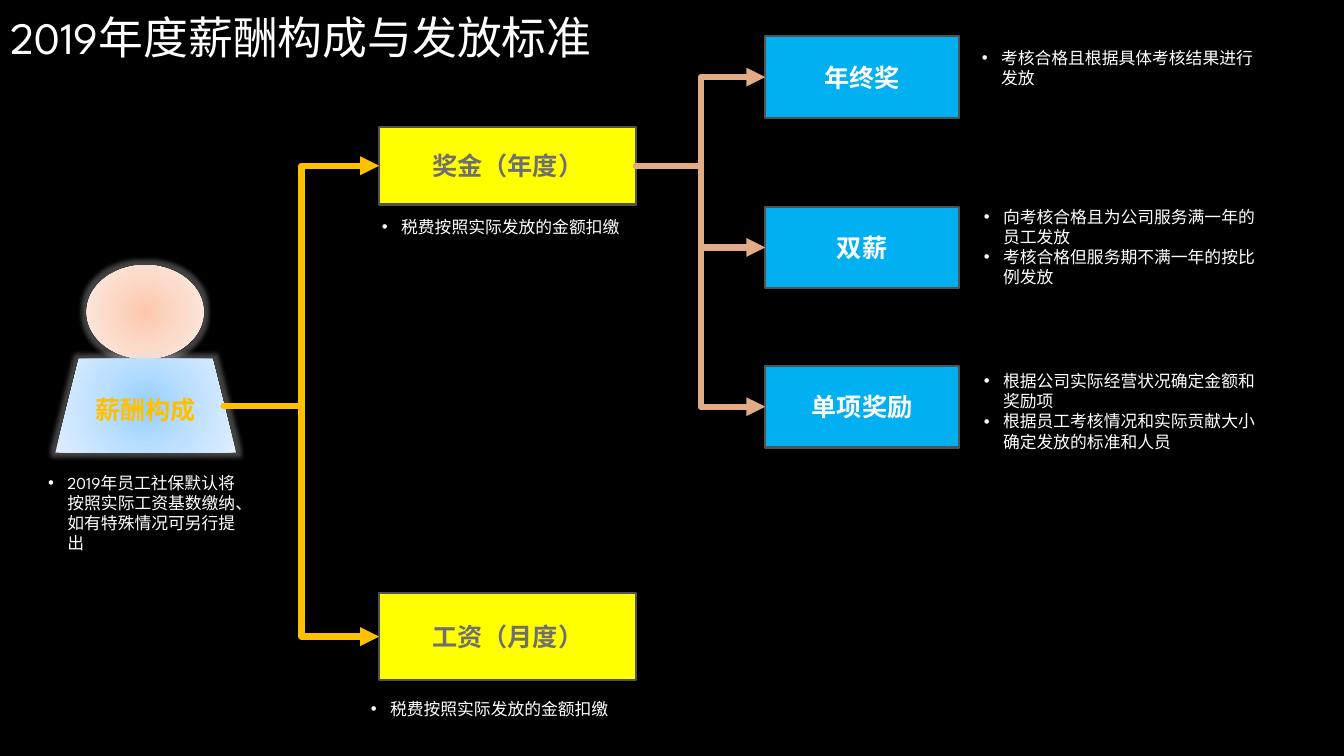
from dataclasses import dataclass
from typing import Any

import pptx
import pptx.dml.color
import pptx.enum.shapes
import pptx.enum.text
import pptx.oxml
import pptx.oxml.ns
import pptx.util

EMU_PER_PX = 9144
SHAPE = pptx.enum.shapes.MSO_SHAPE
ALIGN = pptx.enum.text.PP_ALIGN
ANCHOR = pptx.enum.text.MSO_ANCHOR
AUTO_SIZE = pptx.enum.text.MSO_AUTO_SIZE
RIGHT_SITE, LEFT_SITE = 3, 1


@dataclass(frozen=True)
class Theme:
    font: str = "League Spartan"
    background: str = "000000"
    text: str = "FFFFFF"
    title_end: str = "A6A6A6"
    border: str = "525252"
    category: str = "FFFF00"
    category_text: str = "6F6F6F"
    bonus: str = "00B0F0"
    pay_branch: str = "FFC000"
    bonus_branch: str = "E2AA85"
    glow: str = "E0E0E0"
    head: tuple[str, ...] = ("FCC8AB", "FCDBCB", "FDEDE5")
    body: tuple[str, ...] = ("96D0FF", "BFE1FF", "E0EFFF")
    title_size: int = 32
    label_size: int = 18
    note_size: int = 12
    border_width: float = 1.5
    branch_width: float = 4.5


@dataclass(frozen=True)
class Box:
    label: str
    left: int
    top: int
    width: int
    height: int
    fill: str
    color: str


@dataclass(frozen=True)
class Note:
    left: int
    top: int
    width: int
    height: int
    points: tuple[str, ...]


THEME = Theme()
TAX_POINT = "税费按照实际发放的金额扣缴"
BONUS = Box("奖金（年度）", 376, 126, 255, 77, THEME.category, THEME.category_text)
WAGE = Box("工资（月度）", 376, 588, 255, 87, THEME.category, THEME.category_text)
BONUS_ITEMS = [
    Box(label, 759, top, 192, 81, THEME.bonus, THEME.text)
    for label, top in (("年终奖", 36), ("双薪", 205), ("单项奖励", 363))
]
NOTES = [
    Note(38, 464, 212, 91, ("2019年员工社保默认将按照实际工资基数缴纳、如有特殊情况可另行提出",)),
    Note(369, 210, 291, 30, (TAX_POINT,)),
    Note(358, 688, 291, 30, (TAX_POINT,)),
    Note(966, 363, 291, 91, ("根据公司实际经营状况确定金额和奖励项",
                             "根据员工考核情况和实际贡献大小确定发放的标准和人员")),
    Note(966, 200, 291, 91, ("向考核合格且为公司服务满一年的员工发放",
                             "考核合格但服务期不满一年的按比例发放")),
    Note(964, 42, 291, 50, ("考核合格且根据具体考核结果进行发放",)),
]


def px(length: int) -> int:
    return pptx.util.Emu(length * EMU_PER_PX)


def rgb(value: str) -> pptx.dml.color.RGBColor:
    return pptx.dml.color.RGBColor.from_string(value)


def apply_format(target: Any, formats: dict[str, Any]) -> None:
    for name, value in formats.items():
        setattr(target, name, value)


def element(xml: str) -> Any:
    return pptx.oxml.parse_xml(xml.replace(" ", f" {pptx.oxml.ns.nsdecls('a')} ", 1))


def write(paragraph: Any, text: str, size: int, color: str, bold: bool = False) -> Any:
    run = paragraph.add_run()
    run.text = text
    apply_format(run.font, {"name": THEME.font, "size": pptx.util.Pt(size), "bold": bold})
    run.font.color.rgb = rgb(color)
    return run


def write_label(shape: Any, text: str, color: str) -> None:
    apply_format(shape.text_frame, {"vertical_anchor": ANCHOR.MIDDLE, "word_wrap": True})
    paragraph = shape.text_frame.paragraphs[0]
    paragraph.alignment = ALIGN.CENTER
    write(paragraph, text, THEME.label_size, color, True)


def draw_title(slide: Any, text: str) -> None:
    title = slide.shapes.title
    apply_format(title, {"left": px(0), "top": px(0), "width": px(1319), "height": px(72)})
    apply_format(title.text_frame, {"vertical_anchor": ANCHOR.MIDDLE, "word_wrap": True,
                                    "auto_size": AUTO_SIZE.NONE})
    paragraph = title.text_frame.paragraphs[0]
    paragraph.alignment = ALIGN.LEFT
    fill = write(paragraph, text, THEME.title_size, THEME.text).font.fill
    fill.gradient()
    fill.gradient_angle = 267
    for stop, color in zip(fill.gradient_stops, (THEME.text, THEME.title_end)):
        stop.color.rgb = rgb(color)


def draw_figure_part(group: Any, kind: Any, bounds: tuple[int, ...], colors: tuple[str, ...]) -> Any:
    part = group.shapes.add_shape(kind, *map(px, bounds))
    part.shadow.inherit = False
    part.line.fill.background()
    part.fill.gradient()
    properties = part._element.spPr
    stops = "".join(f'<a:gs pos="{index * 50000}"><a:srgbClr val="{color}"/></a:gs>'
                    for index, color in enumerate(colors))
    radial = element(
        f'<a:gradFill rotWithShape="1"><a:gsLst>{stops}</a:gsLst><a:path path="circle">'
        '<a:fillToRect l="50000" t="50000" r="50000" b="50000"/></a:path></a:gradFill>')
    properties.replace(properties.find(pptx.oxml.ns.qn("a:gradFill")), radial)
    properties.find(pptx.oxml.ns.qn("a:effectLst")).append(element(
        f'<a:glow rad="{px(9)}"><a:srgbClr val="{THEME.glow}">'
        '<a:alpha val="30000"/></a:srgbClr></a:glow>'))
    return part


def draw_box(slide: Any, box: Box) -> Any:
    shape = slide.shapes.add_shape(
        SHAPE.RECTANGLE, *map(px, (box.left, box.top, box.width, box.height)))
    shape.shadow.inherit = False
    shape.fill.solid()
    shape.fill.fore_color.rgb = rgb(box.fill)
    shape.line.color.rgb = rgb(THEME.border)
    shape.line.width = pptx.util.Pt(THEME.border_width)
    write_label(shape, box.label, box.color)
    return shape


def draw_branch(slide: Any, source: Any, target: Any, color: str, inset: int = 0) -> None:
    branch = slide.shapes.add_connector(pptx.enum.shapes.MSO_CONNECTOR.ELBOW, 0, 0, 0, 0)
    branch.begin_connect(source, RIGHT_SITE)
    branch.end_connect(target, LEFT_SITE)
    branch.begin_x = source.left + source.width - px(inset)
    branch.line.color.rgb = rgb(color)
    branch.line.width = pptx.util.Pt(THEME.branch_width)
    properties = branch._element.spPr
    outline = properties.find(pptx.oxml.ns.qn("a:ln"))
    outline.set("cap", "rnd")
    outline.append(element("<a:round />"))
    outline.append(element('<a:tailEnd type="triangle"/>'))
    properties.append(element("<a:effectLst />"))


def draw_note(slide: Any, note: Note) -> None:
    frame = slide.shapes.add_textbox(
        *map(px, (note.left, note.top, note.width, note.height))).text_frame
    apply_format(frame, {"word_wrap": True, "auto_size": AUTO_SIZE.SHAPE_TO_FIT_TEXT})
    for index, point in enumerate(note.points):
        paragraph = frame.add_paragraph() if index else frame.paragraphs[0]
        write(paragraph, point, THEME.note_size, THEME.text)
        properties = paragraph._p.get_or_add_pPr()
        properties.set("marL", str(px(19)))
        properties.set("indent", str(px(-19)))
        properties.append(element('<a:buFont typeface="Arial"/>'))
        properties.append(element('<a:buChar char="•"/>'))


def main() -> None:
    deck = pptx.Presentation()
    apply_format(deck, {"slide_width": px(1333), "slide_height": px(750)})
    slide = deck.slides.add_slide(deck.slide_layouts.get_by_name("Title Only"))
    slide.background.fill.solid()
    slide.background.fill.fore_color.rgb = rgb(THEME.background)
    draw_title(slide, "2019年度薪酬构成与发放标准")

    employee = slide.shapes.add_group_shape()
    draw_figure_part(employee, SHAPE.OVAL, (86, 263, 116, 93), THEME.head)
    pay = draw_figure_part(employee, SHAPE.TRAPEZOID, (55, 356, 179, 93), THEME.body)
    write_label(pay, "薪酬构成", THEME.pay_branch)

    wage, bonus = draw_box(slide, WAGE), draw_box(slide, BONUS)
    bonus_items = [draw_box(slide, item) for item in BONUS_ITEMS]
    for item in bonus_items:
        draw_branch(slide, bonus, item, THEME.bonus_branch)
    for category in (bonus, wage):
        draw_branch(slide, pay, category, THEME.pay_branch, 12)
    for note in NOTES:
        draw_note(slide, note)
    deck.save("out.pptx")


if __name__ == "__main__":
    main()
